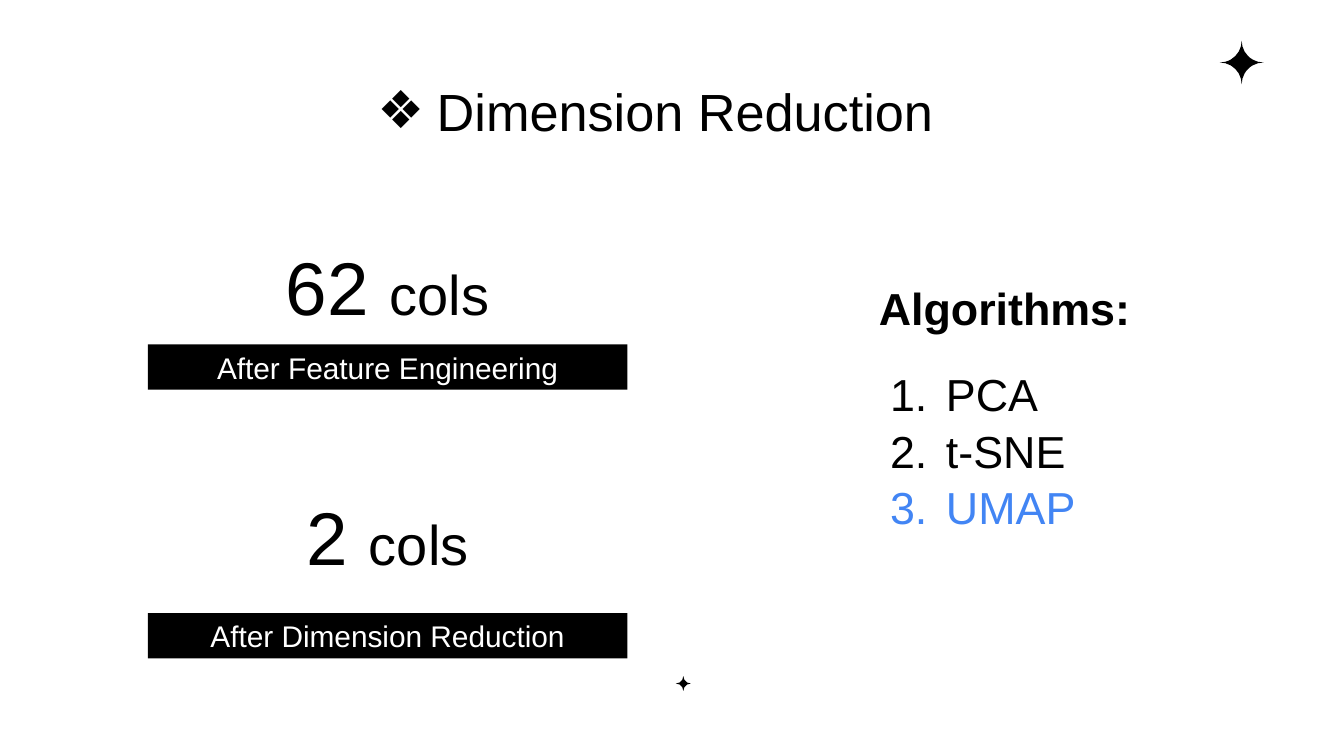
import pptx
import pptx.util
import pptx.dml.color
import pptx.enum.shapes
import pptx.enum.text
import pptx.oxml.ns
from lxml import etree

Pt = pptx.util.Pt
RGBColor = pptx.dml.color.RGBColor
SHAPE = pptx.enum.shapes.MSO_SHAPE
ALIGN = pptx.enum.text.PP_ALIGN
ANCHOR = pptx.enum.text.MSO_ANCHOR
qn = pptx.oxml.ns.qn

BLACK = RGBColor(0x00, 0x00, 0x00)
WHITE = RGBColor(0xFF, 0xFF, 0xFF)
BLUE = RGBColor(0x42, 0x85, 0xF4)
FONT = "Arial"

# Content
TITLE = "Dimension Reduction"
STAGES = [  # number, unit, label, top of number, top of label
    ("62 ", "cols", "After Feature Engineering", 105.84, 184.5),
    ("2 ", "cols", "After Dimension Reduction", 239.76, 328.5),
]
HEADING = "Algorithms:"
ALGORITHMS = [("PCA", BLACK), ("t-SNE", BLACK), ("UMAP", BLUE)]
SPARKLES = [(653.5, 21.8, 23.4), (362.1, 362.2, 8)]  # left, top, size

STAGE_LEFT, STAGE_WIDTH = 79.2, 257
NUMBER_HEIGHT, LABEL_HEIGHT = 78.48, 24.3


def add_text(p, text, size, color=BLACK, bold=False, align=ALIGN.LEFT):
    """Append a formatted run to a paragraph."""
    p.alignment = align
    r = p.add_run()
    r.text = text
    r.font.name = FONT
    r.font.size = Pt(size)
    r.font.bold = bold
    r.font.color.rgb = color


def set_up_frame(sp, anchor):
    tf = sp.text_frame
    tf.word_wrap = True
    tf.vertical_anchor = anchor
    tf.margin_left = tf.margin_right = Pt(7.2)
    tf.margin_top = tf.margin_bottom = Pt(7.2)
    return tf


def add_box(s, left, top, width, height, anchor=ANCHOR.TOP):
    sp = s.shapes.add_textbox(Pt(left), Pt(top), Pt(width), Pt(height))
    return set_up_frame(sp, anchor)


def add_solid(s, kind, left, top, width, height):
    sp = s.shapes.add_shape(kind, Pt(left), Pt(top), Pt(width), Pt(height))
    sp.shadow.inherit = False
    sp.fill.solid()
    sp.fill.fore_color.rgb = BLACK
    sp.line.fill.background()
    return sp


def set_bullet(p, hang, color, char=None):
    """Give a paragraph a bullet character, or a number if there is none."""
    pPr = p._p.get_or_add_pPr()
    pPr.set("marL", str(Pt(36)))
    pPr.set("indent", str(-Pt(hang)))
    clr = etree.SubElement(pPr, qn("a:buClr"))
    etree.SubElement(clr, qn("a:srgbClr"), val=str(color))
    etree.SubElement(pPr, qn("a:buFont"), typeface=FONT)
    if char:
        etree.SubElement(pPr, qn("a:buChar"), char=char)
    else:
        etree.SubElement(pPr, qn("a:buAutoNum"), type="arabicPeriod")


prs = pptx.Presentation()
prs.slide_width, prs.slide_height = Pt(720), Pt(405)
s = prs.slides.add_slide(prs.slide_layouts[6])

# Sparkles
for left, top, size in SPARKLES:
    sp = add_solid(s, SHAPE.PLAQUE, left, top, size, size)
    sp.adjustments[0] = 0.5

# Title
p = add_box(s, 45.36, 35.28, 607, 45.36).paragraphs[0]
add_text(p, TITLE, 28, align=ALIGN.CENTER)
set_bullet(p, 31.75, BLACK, "❖")

# Column counts with their labels
for number, unit, label, number_top, label_top in STAGES:
    tf = add_box(s, STAGE_LEFT, number_top, STAGE_WIDTH, NUMBER_HEIGHT, ANCHOR.BOTTOM)
    add_text(tf.paragraphs[0], number, 40, align=ALIGN.CENTER)
    add_text(tf.paragraphs[0], unit, 30, align=ALIGN.CENTER)
    sp = add_solid(s, SHAPE.RECTANGLE, STAGE_LEFT, label_top, STAGE_WIDTH, LABEL_HEIGHT)
    tf = set_up_frame(sp, ANCHOR.MIDDLE)
    add_text(tf.paragraphs[0], label, 16, WHITE, align=ALIGN.CENTER)

# Algorithms
tf = add_box(s, 463.68, 141.84, 159.84, 109.44)
p = tf.paragraphs[0]
p.line_spacing = 1.05
add_text(p, HEADING, 24, bold=True)
for i, (name, color) in enumerate(ALGORITHMS):
    p = tf.add_paragraph()
    p.line_spacing = 1.05
    p.space_before = Pt(0 if i else 16)
    add_text(p, name, 24, color)
    set_bullet(p, 30, color)

prs.save("out.pptx")
